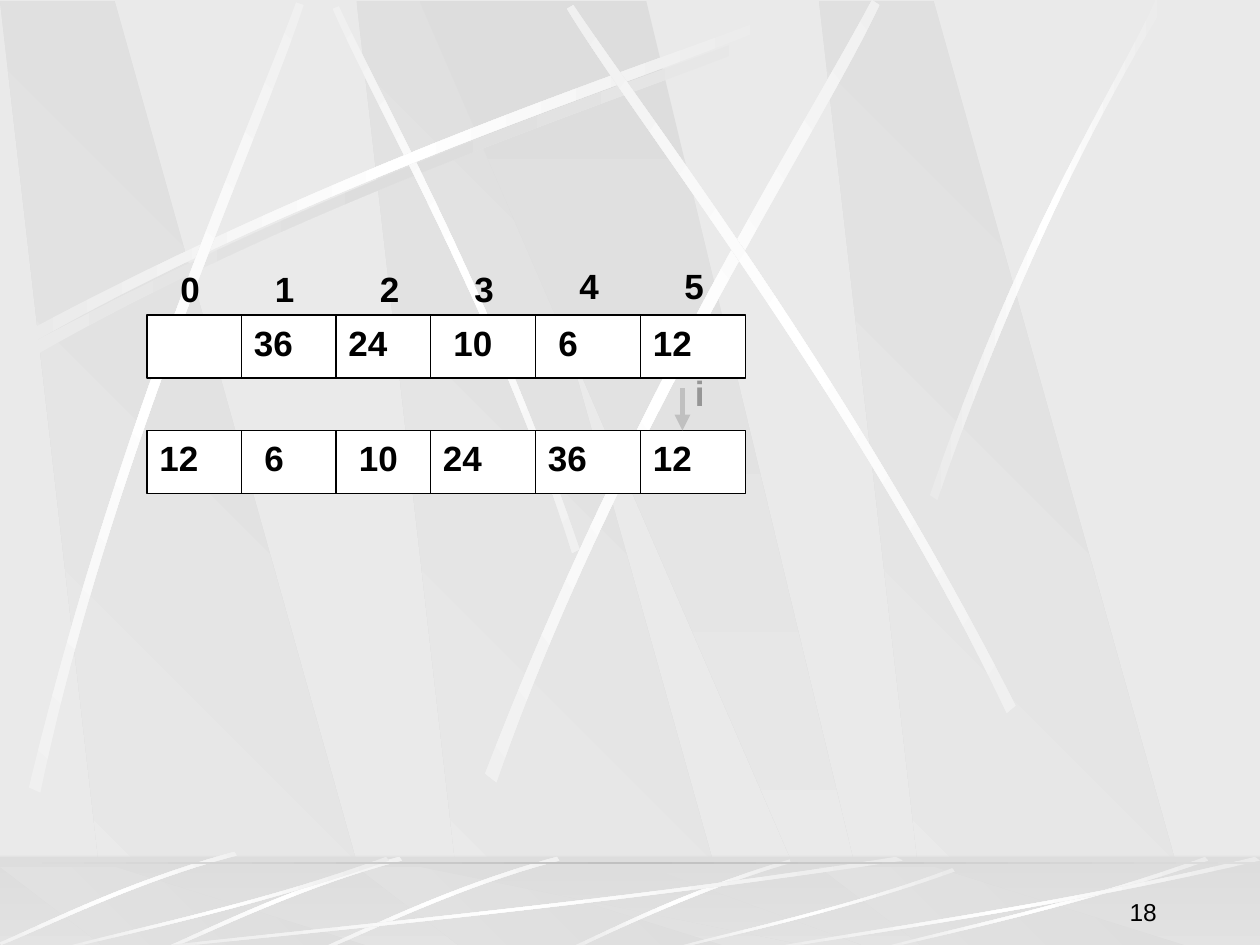
import math

import pptx
import pptx.util
import pptx.dml.color
import pptx.enum.shapes
import pptx.enum.text
import pptx.oxml.ns
from lxml import etree

Inches = pptx.util.Inches
qn = pptx.oxml.ns.qn
RGB = pptx.dml.color.RGBColor.from_string
RECTANGLE = pptx.enum.shapes.MSO_SHAPE.RECTANGLE

COLORS = {"paper": "EAEAEA", "shade": "DDDDDD", "white": "FFFFFF",
          "ink": "000000", "arrow": "C0C0C0", "marker": "969696"}

deck = pptx.Presentation()
deck.slide_width, deck.slide_height = Inches(10), Inches(7.5)
page = deck.slides.add_slide(deck.slide_layouts[6])
page.background.fill.solid()
page.background.fill.fore_color.rgb = RGB(COLORS["paper"])


def draw(points, stops, angle):
    """Draw a gradient outline, or a rectangle when given two corners."""
    spots = [(Inches(x), Inches(y)) for x, y in points]
    if len(spots) == 2:
        (left, top), (right, bottom) = spots
        shape = page.shapes.add_shape(RECTANGLE, left, top, right - left, bottom - top)
    else:
        builder = page.shapes.build_freeform(*spots[0], scale=1.0)
        builder.add_line_segments(spots[1:], close=True)
        shape = builder.convert_to_shape()
    shape.shadow.inherit = False
    shape.line.fill.background()
    shape.fill.gradient()
    shape.fill.gradient_angle = -angle % 360
    stop_list = shape._element.spPr.find(qn("a:gradFill")).find(qn("a:gsLst"))
    for stop in list(stop_list):
        stop_list.remove(stop)
    for number, name in enumerate(stops):
        position = str(number * 100000 // (len(stops) - 1))
        stop = etree.SubElement(stop_list, qn("a:gs"), pos=position)
        etree.SubElement(stop, qn("a:srgbClr"), val=COLORS[name])
    return shape


def add_label(text, left, top, width, height=0.44, size=20, color="ink", bold=True):
    box = page.shapes.add_textbox(Inches(left), Inches(top), Inches(width), Inches(height))
    box.text_frame.word_wrap = True
    para = box.text_frame.paragraphs[0]
    para.text = text
    font = para.runs[0].font
    font.name, font.size, font.bold = "Arial", pptx.util.Pt(size), bold
    font.color.rgb = RGB(COLORS[color])
    return box


# Ribbons: two Bezier edges of four points, rotation, middle colour
beam = [(0.14, 2.67), (2.78, 1.25), (5.18, 0.51), (6.2, 0.1),
        (6.23, 0.16), (5.22, 0.61), (2.48, 1.43), (0.17, 2.77)]
wall_ribbons = [
    ([(x + 0.06, y + 0.08) for x, y in beam], 0, "shade"),
    ([(4.6, 4.36), (3.91, 2.34), (3.02, 0.77), (2.69, 0.05),
      (2.64, 0.07), (2.95, 0.79), (3.98, 2.58), (4.54, 4.39)], 45, "white"),
    (beam, 0, "white"),
    ([(0.23, 6.25), (0.93, 3.34), (1.97, 1.05), (2.35, 0.02),
      (2.41, 0.04), (2.07, 1.08), (0.86, 3.68), (0.32, 6.29)], 311.7, "white"),
    ([(3.85, 6.14), (4.98, 3.2), (6.38, 1.02), (6.92, 0),
      (6.98, 0.04), (6.49, 1.08), (4.86, 3.55), (3.94, 6.21)], 321.6, "white"),
    ([(8.06, 5.6), (6.7, 2.93), (5.16, 0.95), (4.55, 0.04),
      (4.5, 0.07), (5.07, 1.01), (6.85, 3.25), (7.99, 5.66)], 34.8, "white"),
    ([(7.38, 3.93), (8.14, 1.73), (8.88, 0.66), (9.17, 0),
      (9.27, 0), (8.36, 1.45), (7.69, 3.22), (7.44, 3.97)], 0, "white"),
]
floor_ribbons = [
    ([(6.27, 6.82), (5.37, 7.09), (4.77, 7.42), (4.48, 7.54),
      (4.53, 7.55), (4.9, 7.37), (5.71, 7), (6.28, 6.85)], 0, "white"),
]
short_streak = [(1.86, 0.04), (0.99, 0.28), (0.31, 0.63), (0, 0.76),
                (0.01, 0.78), (0.32, 0.66), (1.09, 0.27), (1.88, 0.07)]
for left, top in ((2.56, 6.76), (1.31, 6.76), (0, 6.72)):
    points = [(left + x, top + y) for x, y in short_streak]
    floor_ribbons.append((points, 314.9, "white"))
long_streak = [(1, 0.04), (0.57, 0.57), (0.17, 0.85), (0.01, 1),
               (0, 0.99), (0.17, 0.81), (0.62, 0.5), (0.99, 0)]
for left, top, width in ((1, 6.8, 6.17), (0.42, 6.8, 2.67), (5.27, 6.89, 2.31),
                         (6.92, 6.8, 2.67), (6, 6.8, 4)):
    points = [(left + width * x, top + (7.55 - top) * y) for x, y in long_streak]
    floor_ribbons.append((points, 0, "white"))

# Backdrop: wall first, then the floor with the same panels squeezed
for top, bottom, ribbons in ((0.01, 7.52, wall_ribbons), (6.88, 7.54, floor_ribbons)):
    on_floor = ribbons is floor_ribbons
    if on_floor:
        draw([(0, 6.8), (10, 7.55)], ("shade", "paper"), 90)
    for left in (2.83, 0, 6.5):
        draw([(left + 0.86, bottom), (left + 3.02, bottom), (left + 0.91, top), (left, top)],
             ("shade", "paper"), 135)
    draw([(3.33, top), (6.58, bottom), (6.94, bottom), (5.13, top)], ("shade", "paper"), 90)
    if on_floor:
        veil = draw([(0, 6.79), (10, 7.54)], ("shade", "shade"), 0)
        veil.fill.solid()
        veil.fill.fore_color.rgb = RGB(COLORS["shade"])
        color = veil._element.spPr.find(qn("a:solidFill"))[0]
        etree.SubElement(color, qn("a:alpha"), val="50000")
    for points, rotation, middle in ribbons:
        # Lay the ribbon flat, then turn it so that its gradient turns too
        cos, sin = math.cos(math.radians(rotation)), math.sin(math.radians(rotation))
        flat = [(x * cos + y * sin, y * cos - x * sin) for x, y in points]
        ribbon = draw(flat, ("paper", middle, "paper"), 180)
        x, y = ribbon.left + ribbon.width / 2, ribbon.top + ribbon.height / 2
        ribbon.left = round(x * cos - y * sin - ribbon.width / 2)
        ribbon.top = round(x * sin + y * cos - ribbon.height / 2)
        ribbon.rotation = rotation
        # Turn both long edges into curves
        segments = list(ribbon._element.spPr.iter(qn("a:lnTo")))
        for edge in (segments[:3], segments[4:7]):
            curve = etree.Element(qn("a:cubicBezTo"))
            edge[0].addprevious(curve)
            for segment in edge:
                curve.append(segment[0])
                segment.getparent().remove(segment)
draw([(0, 6.84), (10, 6.86)], ("shade", "arrow", "shade"), 180)

# Arrays: frame, dividers and values, on a grid of twelfths of an inch
cell_edges = [step / 12 for step in (14, 23, 32, 41, 51, 61, 71)]
lines = []
for top, values in ((2.5, ["", "36", "24", "10", "6", "12"]),
                    (41 / 12, ["12", "6", "10", "24", "36", "12"])):
    frame = page.shapes.add_shape(RECTANGLE, Inches(cell_edges[0]), Inches(top),
                                  Inches(4.75), Inches(0.5))
    frame.shadow.inherit = False
    frame.fill.solid()
    frame.fill.fore_color.rgb = RGB(COLORS["white"])
    frame.line.color.rgb = RGB(COLORS["ink"])
    frame.line.width = pptx.util.Pt(0.75)
    lines += [(x, top, top + 0.5, "ink", 0.75) for x in cell_edges[1:-1]]
    for left, value in zip(cell_edges, values):
        if value:
            # 10 and 6 sit slightly right in their cells
            add_label(value, left + (1 / 12 if value in ("10", "6") else 0), top, 0.67)

# Dividers and the index arrow
lines.append((65 / 12, 37 / 12, 41 / 12, "arrow", 3))
for x, start, end, color, width in lines:
    line = page.shapes.add_connector(pptx.enum.shapes.MSO_CONNECTOR.STRAIGHT,
                                     Inches(x), Inches(start), Inches(x), Inches(end))
    line.line.color.rgb = RGB(COLORS[color])
    line.line.width = pptx.util.Pt(width)
    if color == "arrow":
        etree.SubElement(line.line._get_or_add_ln(), qn("a:tailEnd"), type="triangle")
    etree.SubElement(line._element.spPr, qn("a:effectLst"))
add_label("i", 65 / 12, 2.9, 0.33, color="marker")

# Cell indices
for index, step in enumerate((16, 25, 35, 44, 54, 64)):
    add_label(str(index), step / 12, 2.07 if index < 4 else 2.05, 0.33)

# Slide number
number = add_label("18", 7.2, 6.9, 2.08, 0.5, size=14, bold=False)
number.text_frame.vertical_anchor = pptx.enum.text.MSO_ANCHOR.BOTTOM
number.text_frame.paragraphs[0].alignment = pptx.enum.text.PP_ALIGN.RIGHT

deck.save("out.pptx")
